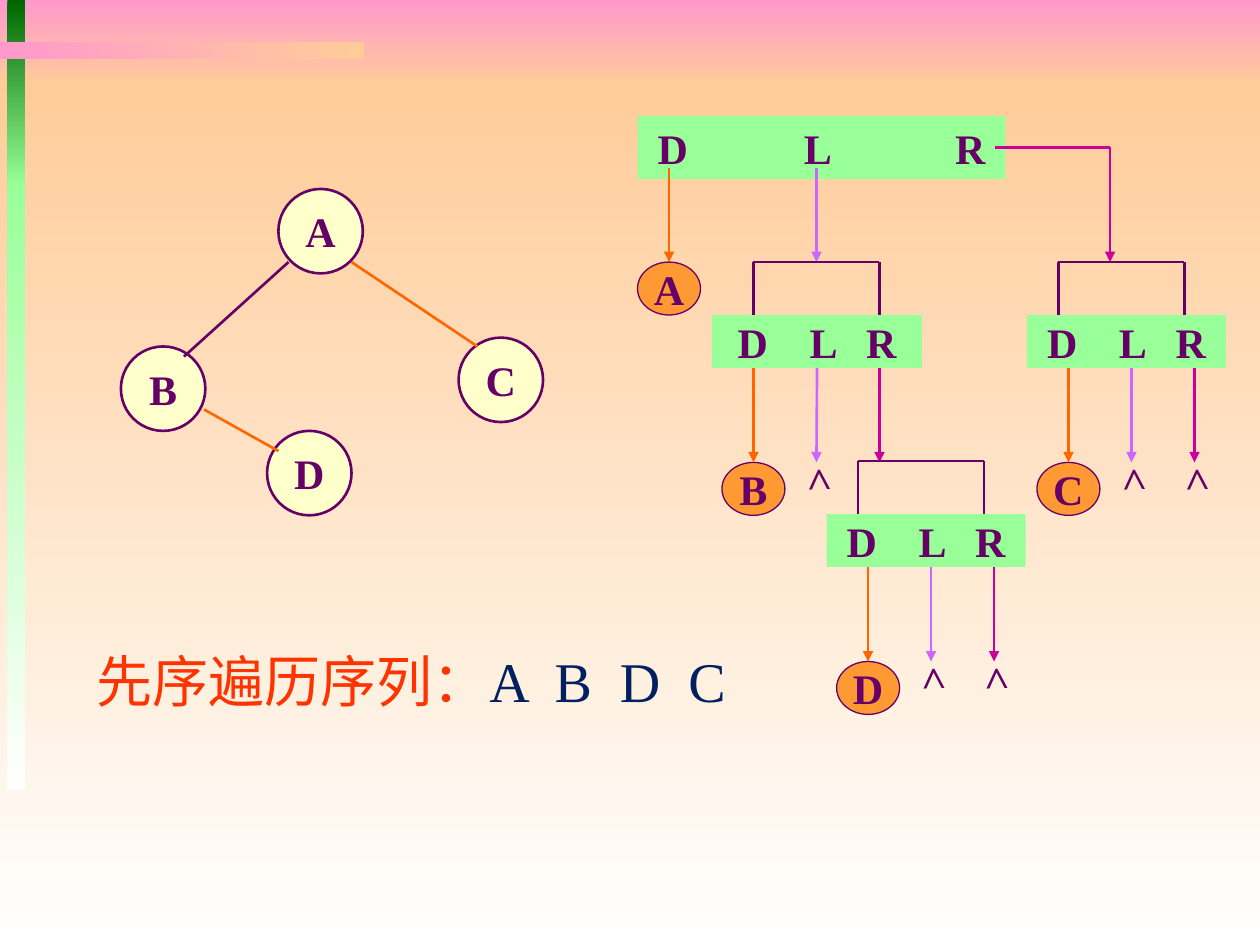
from dataclasses import dataclass

from lxml import etree
from pptx import Presentation
from pptx.dml.color import RGBColor
from pptx.enum.shapes import MSO_CONNECTOR, MSO_SHAPE
from pptx.enum.text import MSO_ANCHOR, PP_ALIGN
from pptx.oxml.ns import qn
from pptx.util import Inches, Pt

RECTANGLE, OVAL = MSO_SHAPE.RECTANGLE, MSO_SHAPE.OVAL
STRAIGHT = MSO_CONNECTOR.STRAIGHT
TOP, MIDDLE = MSO_ANCHOR.TOP, MSO_ANCHOR.MIDDLE
LEFT, CENTER = PP_ALIGN.LEFT, PP_ALIGN.CENTER
TOP_SIDE, BOTTOM_SIDE = 0, 2


@dataclass(frozen=True)
class Theme:
    font: str = "Times New Roman"
    label_size: int = 24
    caption_size: int = 32
    line_width: float = 1.5
    thin_width: float = 0.75
    purple: str = "660066"
    orange: str = "FF6600"
    violet: str = "CC66FF"
    magenta: str = "CC0099"
    green: str = "99FF99"
    dark_green: str = "006600"
    cream: str = "FFFFCC"
    amber: str = "FF9933"
    pink: str = "FF99CC"
    peach: str = "FFCC99"
    white: str = "FFFFFF"
    red: str = "FF3300"
    navy: str = "002060"


THEME = Theme()
ARROW_LENGTH = 0.75
ROW_HEIGHT = 0.42


def color(value):
    return RGBColor.from_string(value)


def write(shape, text, size=THEME.label_size, ink=THEME.purple, bold=True,
          align=CENTER, anchor=MIDDLE, wrap=False, inset=None, tabs=(), spacing=0):
    frame = shape.text_frame
    frame.word_wrap = wrap
    frame.vertical_anchor = anchor
    if inset is not None:
        frame.margin_left = Inches(inset)
        frame.margin_right = 0
    para = frame.paragraphs[0]
    para.alignment = align
    if tabs:
        stops = etree.SubElement(para._p.get_or_add_pPr(), qn("a:tabLst"))
        for stop in tabs:
            etree.SubElement(stops, qn("a:tab"), pos=str(Inches(stop)), algn="l")
    span = para.add_run()
    span.text = text
    span.font.name = THEME.font
    span.font.size = Pt(size)
    span.font.bold = bold
    span.font.color.rgb = color(ink)
    if spacing:
        span.font._element.set("spc", str(spacing * 100))


def add_block(page, kind, box, fill, outline=None, width=THEME.line_width):
    shape = page.shapes.add_shape(kind, *map(Inches, box))
    shape.shadow.inherit = False
    shape.fill.solid()
    shape.fill.fore_color.rgb = color(fill)
    if outline:
        shape.line.color.rgb = color(outline)
        shape.line.width = Pt(width)
    else:
        shape.line.fill.background()
    return shape


def add_band(page, box, first, last, angle=270):
    band = add_block(page, RECTANGLE, box, first)
    band.fill.gradient()
    band.fill.gradient_angle = angle
    for stop, value in zip(band.fill.gradient_stops, (first, last)):
        stop.color.rgb = color(value)


def add_line(page, start, end, ink=THEME.purple, arrow=False):
    line = page.shapes.add_connector(STRAIGHT, *map(Inches, (*start, *end)))
    line.line.color.rgb = color(ink)
    line.line.width = Pt(THEME.line_width)
    if arrow:
        etree.SubElement(line.line._get_or_add_ln(), qn("a:tailEnd"), type="triangle")
    etree.SubElement(line._element.spPr, qn("a:effectLst"))
    return line


def add_visit(page, x, top, letter):
    arrow = add_line(page, (x, top), (x, top + ARROW_LENGTH), THEME.orange, arrow=True)
    oval = add_block(page, OVAL, (x - 0.25, top + ARROW_LENGTH, 0.5, ROW_HEIGHT),
                     THEME.amber, THEME.purple, THEME.thin_width)
    write(oval, letter)
    arrow.end_connect(oval, TOP_SIDE)


def add_empty_mark(page, x, top):
    mark = page.shapes.add_textbox(*map(Inches, (x - 0.21, top - 0.13, 0.42, 0.5)))
    mark.rotation = 268.3
    write(mark, ">", align=LEFT, anchor=TOP, wrap=True)


def add_row(page, box, tabs, text_width):
    row = add_block(page, RECTANGLE, box, THEME.green)
    write(row, "D\tL\tR", align=LEFT, wrap=True, inset=(box[2] - text_width) / 2, tabs=tabs)
    return row


def draw_background(page, width, height):
    add_band(page, (0, 0, width, 0.67), THEME.pink, THEME.peach)
    add_band(page, (0, 0.67, width, height - 0.67), THEME.peach, THEME.white)
    add_band(page, (0.06, 0, 0.14, 1.48), THEME.dark_green, THEME.green)
    add_band(page, (0.06, 1.46, 0.14, 4.81), THEME.green, THEME.white)
    add_band(page, (0, 0.33, 2.89, 0.14), THEME.pink, THEME.peach, angle=0)


def draw_binary_tree(page, left, top):
    size = 0.67
    nodes = {"A": (1.25, 0), "D": (1.16, 1.92), "B": (0, 1.25), "C": (2.68, 1.18)}
    for letter, (x, y) in nodes.items():
        node = add_block(page, OVAL, (left + x, top + y, size, size),
                         THEME.cream, THEME.purple)
        write(node, letter)
    edges = [
        ((1.33, 0.58), (0.5, 1.33), THEME.purple),
        ((1.83, 0.58), (2.83, 1.25), THEME.orange),
        ((0.66, 1.75), (1.25, 2.08), THEME.orange),
    ]
    for (x1, y1), (x2, y2), ink in edges:
        add_line(page, (left + x1, top + y1), (left + x2, top + y2), ink)


def draw_root_call(page, left, top):
    add_row(page, (left, top, 2.92, 0.5), tabs=(1.16, 2.36), text_width=2.6)
    start = top + 0.41
    add_visit(page, left + 0.25, start, "A")
    add_line(page, (left + 1.42, start), (left + 1.42, start + ARROW_LENGTH),
             THEME.violet, arrow=True)
    corner = (left + 3.75, top + 0.25)
    add_line(page, (left + 2.84, top + 0.25), corner, THEME.magenta)
    add_line(page, corner, (corner[0], start + ARROW_LENGTH), THEME.magenta, arrow=True)


def draw_call(page, left, top, width, letter, bracket=0.25, right_empty=True):
    roof = top - ROW_HEIGHT
    ends = [left + bracket, left + bracket + 1]
    add_line(page, (ends[0], roof), (ends[1], roof))
    for x in ends:
        add_line(page, (x, roof), (x, top))
    row = add_row(page, (left, top, width, ROW_HEIGHT), tabs=(0.57, 1.02), text_width=1.26)

    bottom = top + ROW_HEIGHT
    visit_x, left_x, right_x = [left + 0.33 + 0.5 * step for step in range(3)]
    add_visit(page, visit_x, bottom, letter)
    for x, ink, empty in ((left_x, THEME.violet, True), (right_x, THEME.magenta, right_empty)):
        arrow = add_line(page, (x, bottom), (x, bottom + ARROW_LENGTH), ink, arrow=True)
        if abs(x - left - width / 2) < 0.01:
            arrow.begin_connect(row, BOTTOM_SIDE)
        if empty:
            add_empty_mark(page, x, bottom + ARROW_LENGTH)


def draw_caption(page, box):
    caption = page.shapes.add_textbox(*map(Inches, box))
    layout = dict(size=THEME.caption_size, bold=False, align=LEFT, anchor=TOP, wrap=True)
    write(caption, "先序遍历序列：", ink=THEME.red, **layout)
    write(caption, "A B D C", ink=THEME.navy, spacing=4, **layout)


def main():
    deck = Presentation()
    deck.slide_width, deck.slide_height = Inches(10), Inches(7.5)
    page = deck.slides.add_slide(deck.slide_layouts[6])
    draw_background(page, 10, 7.5)
    draw_binary_tree(page, 0.96, 1.5)
    draw_root_call(page, 5.06, 0.92)
    draw_call(page, 5.65, 2.5, 1.67, "B", bracket=0.33, right_empty=False)
    draw_call(page, 6.56, 4.08, 1.58, "D")
    draw_call(page, 8.15, 2.5, 1.58, "C")
    draw_caption(page, (0.67, 5.08, 5.22, 0.63))
    deck.save("out.pptx")


if __name__ == "__main__":
    main()
